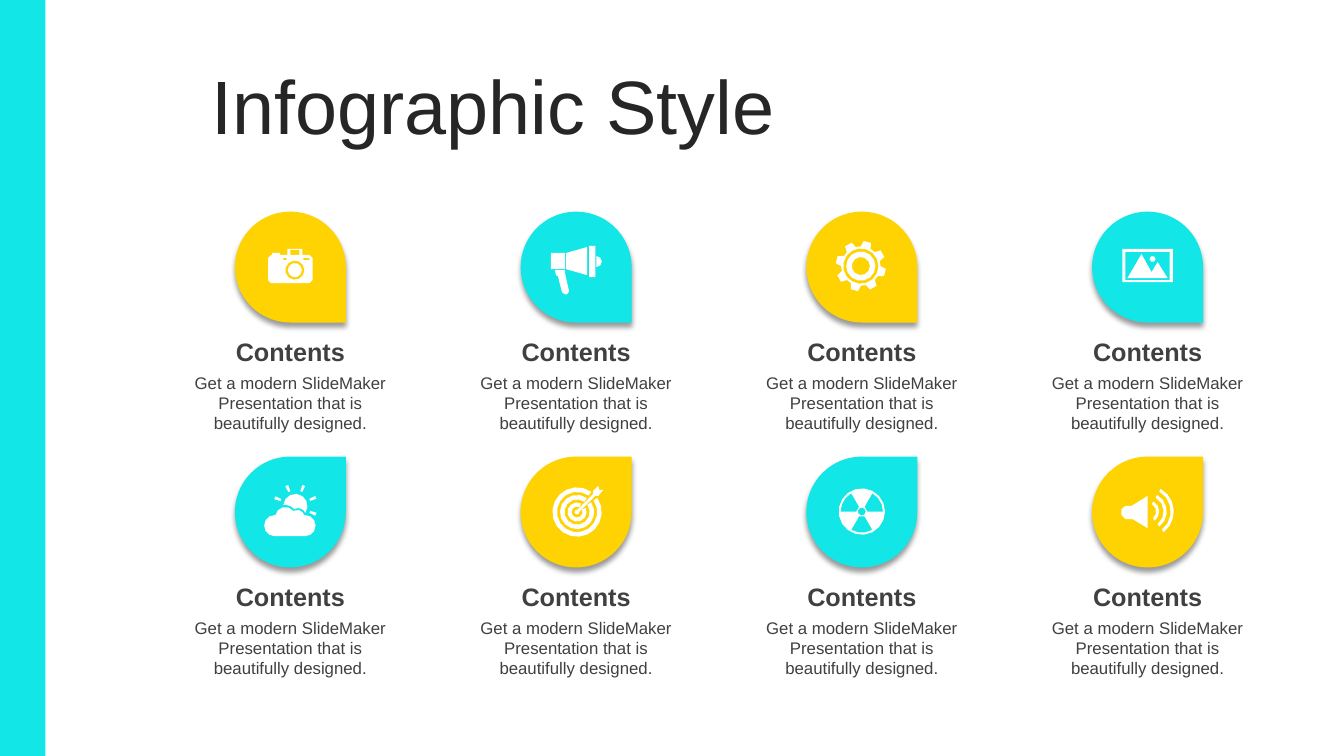
from dataclasses import dataclass
from itertools import product
from math import cos, radians, sin, sqrt

from lxml.etree import SubElement
from pptx import Presentation
from pptx.dml.color import RGBColor
from pptx.enum.shapes import MSO_SHAPE
from pptx.enum.text import MSO_ANCHOR, PP_ALIGN
from pptx.oxml.ns import qn
from pptx.util import Inches, Pt


@dataclass(frozen=True)
class Theme:
    """Colours, type sizes and the grid pitch in inches."""
    cyan: str = "12E6E6"
    yellow: str = "FFD302"
    white: str = "FFFFFF"
    title_color: str = "262626"
    text_color: str = "404040"
    font: str = "Arial"
    title_size: int = 54
    heading_size: int = 18
    body_size: int = 12
    pitch: float = 0.1


def arc(x, y, radius, start, end):
    """Return points along an arc, in degrees clockwise from the right."""
    steps = max(1, round(abs(end - start) * sqrt(radius) / 100))
    angles = [radians(start + (end - start) * step / steps) for step in range(steps + 1)]
    return [(x + radius * cos(angle), y + radius * sin(angle)) for angle in angles]


def circle(x, y, radius):
    """Return the outline of a circle."""
    return arc(x, y, radius, 0, 360)[:-1]


def band(x, y, inner, outer, start, end):
    """Return the outline of a piece of a ring."""
    return arc(x, y, outer, start, end) + arc(x, y, inner, end, start)


def box(left, top, right, bottom):
    """Return the outline of a rectangle."""
    return [(left, top), (right, top), (right, bottom), (left, bottom)]


def camera():
    """Return the camera outlines."""
    body = [(-22, -9), (-19, -12), (-18, -12), (-18, -14), (-10, -14), (-10, -12),
            (-3, -12), (-3, -18), (12, -18), (12, -12), (19, -12), (22, -9),
            (22, 13), (19, 16), (-19, 16), (-22, 13)]
    return [body, circle(4.5, 3, 9.5), circle(4.5, 3, 7), box(-7, -9, -4, -7),
            box(13, -9, 19, -7), box(0, -17, 9, -12)]


def megaphone():
    """Return the megaphone outlines."""
    handle = [(-11, 3), (-11, 6), (-7, 24), (-9, 27), (-11, 27), (-14, 25),
              (-18, 9), (-20, 8), (-21, 3)]
    horn = [(11, -20), (11, 8), (-10, 2), (-10, -14)]
    return [handle, horn, box(-25, -14, -11, 2), box(13, -21, 19, 10),
            arc(20, -5.5, 5.5, -90, 90)]


def gear():
    """Return the gear outlines, with eight teeth."""
    corners = [(19.5, -15), (25, -8.5), (25, 8.5), (19.5, 15)]
    teeth = [arc(-1, -1, radius, angle + turn, angle + turn)[0]
             for angle in range(15, 375, 45) for radius, turn in corners]
    return [teeth] + [circle(-1, -1, radius) for radius in (17.5, 14.5, 9)]


def landscape():
    """Return the framed landscape outlines."""
    mountains = [(-6, -13), (4, 5), (10, -5), (20, 11), (-20, 11)]
    return [box(-25, -18, 25, 15), box(-22, -15, 22, 13), circle(5, -8, 3), mountains]


def weather():
    """Return the sun and cloud outlines."""
    cloud = (arc(-15.5, 13.5, 10.5, 90, 270) + arc(-5, 5, 10, 190, 323)
             + arc(7, 5, 7, 250, 345) + arc(14.5, 13.5, 10.5, -90, 90))
    sun = arc(5, -6, 12, 185, 395) + [(13, -2), (8, -4), (4, -3), (0, -6), (-4, -7)]
    rays = [band(5, -6, 15.5, 22, angle - 4, angle + 4) for angle in range(-158, 26, 45)]
    return [cloud, sun] + rays


def target():
    """Return the target outlines, each ring open for the arrow."""
    arrow = arc(1, 0, 2.5, -10, 280) + [(17, -18), (17, -21), (22, -26), (23, -22),
                                        (27, -22), (22, -16), (19, -16)]
    rings = [(20, 24.5, 10), (12.5, 17, 10), (5.5, 9.5, 19)]
    return [arrow] + [band(1, 0, inner, outer, gap - 45, 315 - gap)
                      for inner, outer, gap in rings]


def radiation():
    """Return the radiation sign outlines."""
    blades = [band(0, -0.5, 5.5, 21, angle, angle + 60) for angle in (60, 180, 300)]
    return [circle(0, -0.5, 23), circle(0, -0.5, 4)] + blades


def speaker():
    """Return the loudspeaker outlines."""
    cone = [(0, -16), (0, 16), (-15, 7), (-22, 7), (-26, 3), (-26, -3), (-22, -6), (-16, -6)]
    return [cone] + [band(0, -0.5, radius, radius + 3, -60, 52) for radius in (8.5, 16, 23)]


class SlideBuilder:
    """Draws styled elements on a slide, placed in grid columns and rows."""

    def __init__(self, presentation, theme):
        """Add a blank slide."""
        self.theme = theme
        self.slide = presentation.slides.add_slide(presentation.slide_layouts[6])

    def grid(self, *lengths):
        """Turn grid lengths into slide units."""
        return [Inches(length * self.theme.pitch) for length in lengths]

    def paint(self, shape, color):
        """Give a shape a plain fill without line or shadow."""
        shape.shadow.inherit = False
        shape.fill.solid()
        shape.fill.fore_color.rgb = RGBColor.from_string(color)
        shape.line.fill.background()

    def shape(self, kind, frame, color):
        """Add a filled preset shape."""
        shape = self.slide.shapes.add_shape(kind, *self.grid(*frame))
        self.paint(shape, color)
        return shape

    def drop(self, frame, color, rotation):
        """Add a teardrop with a soft shadow below."""
        shape = self.shape(MSO_SHAPE.TEAR, frame, color)
        shape.rotation = rotation
        effects = shape.element.spPr.find(qn("a:effectLst"))
        shadow = SubElement(effects, qn("a:outerShdw"), blurRad=str(Pt(4)),
                            dist=str(Pt(3)), dir="5400000", algn="t", rotWithShape="0")
        black = SubElement(shadow, qn("a:srgbClr"), val="000000")
        SubElement(black, qn("a:alpha"), val="40000")

    def text(self, frame, words, size, color, bold=False, align=PP_ALIGN.CENTER):
        """Add a text box with one run and return its text frame."""
        text_frame = self.slide.shapes.add_textbox(*self.grid(*frame)).text_frame
        text_frame.word_wrap = True
        paragraph = text_frame.paragraphs[0]
        paragraph.alignment = align
        run = paragraph.add_run()
        run.text = words
        run.font.name, run.font.size, run.font.bold = self.theme.font, Pt(size), bold
        run.font.color.rgb = RGBColor.from_string(color)
        return text_frame

    def title(self, frame, words):
        """Add the slide title."""
        text_frame = self.text(frame, words, self.theme.title_size,
                               self.theme.title_color, align=PP_ALIGN.LEFT)
        text_frame.vertical_anchor = MSO_ANCHOR.MIDDLE
        text_frame.paragraphs[0].line_spacing = 0.9
        text_frame.paragraphs[0].space_before = Pt(10)

    def icon(self, x, y, outlines):
        """Add a white icon, its outlines given in tenths of a grid unit."""
        placed = [[self.grid(x + across / 10, y + down / 10) for across, down in outline]
                  for outline in outlines]
        builder = self.slide.shapes.build_freeform(*placed[0][0])
        for index, outline in enumerate(placed):
            if index:
                builder.move_to(*outline[0])
            builder.add_line_segments(outline[1:], close=True)
        self.paint(builder.convert_to_shape(), self.theme.white)

    def item(self, x, y, color, rotation, outlines):
        """Add a drop with its icon, heading and description."""
        theme = self.theme
        self.drop((x - 5.5, y - 5.5, 11, 11), color, rotation)
        self.icon(x, y, outlines)
        self.text((x - 11.95, y + 6.4, 23.9, 4), "Contents",
                  theme.heading_size, theme.text_color, bold=True)
        self.text((x - 11.95, y + 10, 23.9, 7.1),
                  "Get a modern SlideMaker Presentation that is beautifully designed.",
                  theme.body_size, theme.text_color)


def main():
    """Build and save the slide."""
    presentation = Presentation()
    presentation.slide_width, presentation.slide_height = Inches(13.33), Inches(7.5)
    theme = Theme()
    builder = SlideBuilder(presentation, theme)
    builder.shape(MSO_SHAPE.RECTANGLE, (0, 0, 4.5, 75), theme.cyan)
    builder.title((20, 7, 109.2, 7.9), "Infographic Style")
    icons = [camera, megaphone, gear, landscape, weather, target, radiation, speaker]
    for (row, column), outlines in zip(product(range(2), range(4)), icons):
        color = theme.cyan if (row + column) % 2 else theme.yellow
        builder.item(28.8 + 28.34 * column, 26.5 + 24.3 * row, color,
                     0 if row else 90, outlines())
    presentation.save("out.pptx")


if __name__ == "__main__":
    main()
